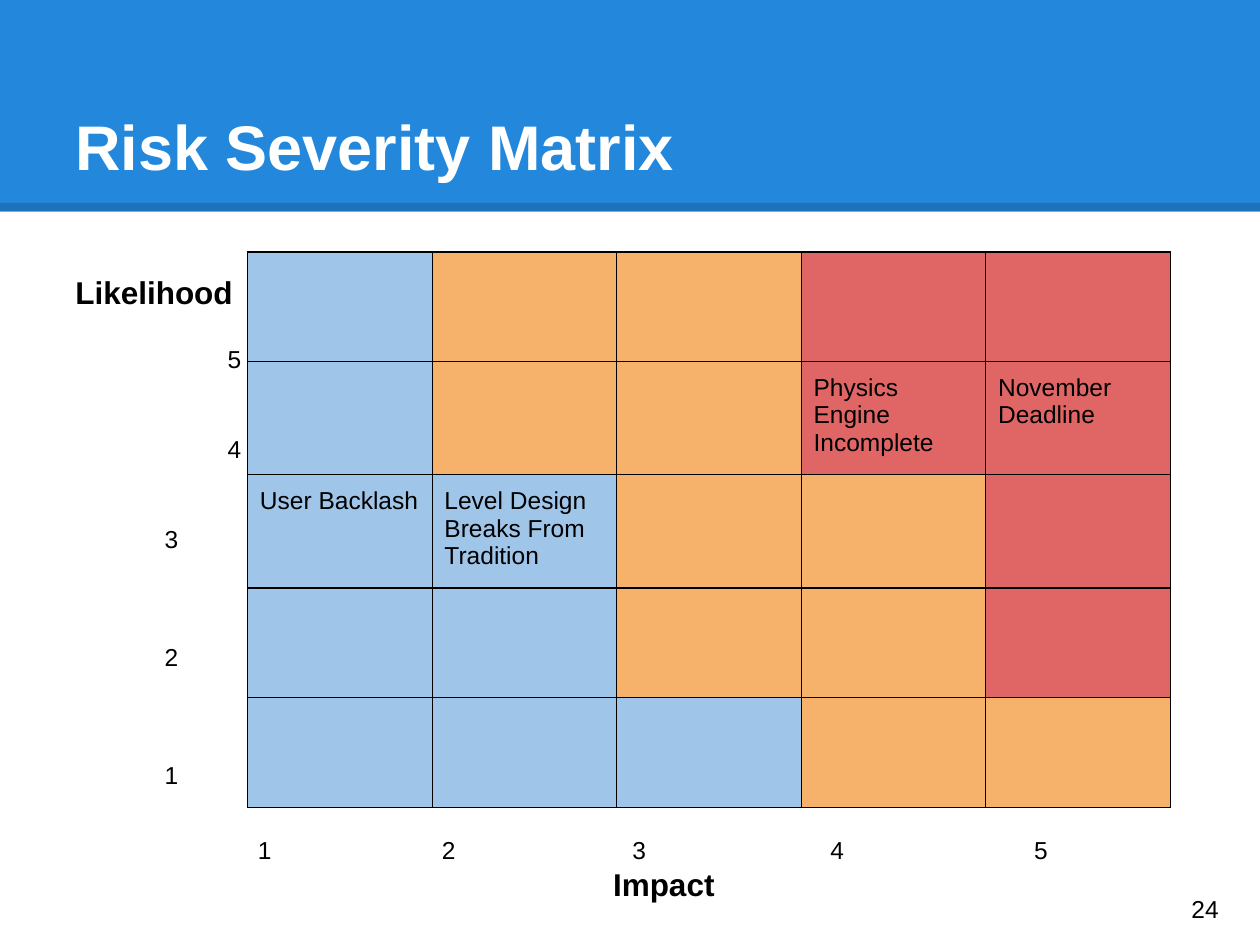
from dataclasses import dataclass

from lxml import etree
from pptx import Presentation
from pptx import util as u
from pptx.dml import color
from pptx.enum import shapes, text
from pptx.oxml import ns


@dataclass(frozen=True)
class Theme:
    """Colours, font and type sizes of the slide."""
    font: str = "Arial"
    ink: str = "000000"
    paper: str = "FFFFFF"
    banner: str = "2388DB"
    low: str = "9FC5E8"
    medium: str = "F6B26B"
    high: str = "E06666"
    title: int = 36
    axis: int = 18
    body: int = 14


@dataclass(frozen=True)
class Box:
    """A region in centimetres."""
    left: float
    top: float
    width: float
    height: float

    def emu(self):
        """Return left, top, width and height as lengths."""
        return [u.Cm(v) for v in (self.left, self.top, self.width, self.height)]


THEME = Theme()
INSET = u.Cm(0.25)
SEVERITY = ("LMMHH", "LMMHH", "LLMMH", "LLMMH", "LLLMM")
RISKS = {
    (1, 3): "Physics Engine Incomplete",
    (1, 4): "November Deadline",
    (2, 0): "User Backlash",
    (2, 1): "Level Design Breaks From Tradition",
}


def rgb(value):
    """Turn a hex string into a colour."""
    return color.RGBColor.from_string(value)


def add_element(parent, tag, **attributes):
    """Append a drawing element to its parent."""
    return etree.SubElement(parent, ns.qn(tag), attributes)


def add_run(paragraph, words, size=THEME.body, bold=False, ink=THEME.ink):
    """Append one styled run."""
    run = paragraph.add_run()
    run.text = words
    run.font.name, run.font.size, run.font.bold = THEME.font, u.Pt(size), bold
    run.font.color.rgb = rgb(ink)


def set_insets(holder):
    """Give a text frame or cell its margins."""
    holder.margin_left = holder.margin_right = INSET
    holder.margin_top = holder.margin_bottom = INSET


def add_frame(slide, box, anchor=text.MSO_ANCHOR.TOP):
    """Add a wrapping text box and return its frame."""
    frame = slide.shapes.add_textbox(*box.emu()).text_frame
    frame.word_wrap = True
    frame.vertical_anchor = anchor
    set_insets(frame)
    return frame


def set_tabs(paragraph, stops):
    """Set left tab stops, given in centimetres."""
    tabs = add_element(paragraph._p.get_or_add_pPr(), "a:tabLst")
    for stop in stops:
        add_element(tabs, "a:tab", pos=str(int(u.Cm(stop))), algn="l")


def add_banner(slide, box):
    """Draw the title banner with its darker lower edge."""
    banner = slide.shapes.add_shape(shapes.MSO_SHAPE.RECTANGLE, *box.emu())
    banner.shadow.inherit = False
    banner.fill.solid()
    banner.fill.fore_color.rgb = rgb(THEME.banner)
    banner.line.fill.background()

    edge_y = u.Cm(box.top + box.height - 0.1)
    edge = slide.shapes.add_connector(
        shapes.MSO_CONNECTOR.STRAIGHT,
        u.Cm(box.left), edge_y, u.Cm(box.left + box.width), edge_y)
    edge.line.width = u.Pt(4.5)
    edge.line.color.rgb = rgb(THEME.ink)
    add_element(edge.line._ln.find(".//" + ns.qn("a:srgbClr")), "a:alpha", val="15000")
    add_element(edge._element.spPr, "a:effectLst")

    heading = Box(box.left + 1.27, box.top + 0.76, box.width - 2.54, 3.18)
    frame = add_frame(slide, heading, text.MSO_ANCHOR.BOTTOM)
    add_run(frame.paragraphs[0], "Risk Severity Matrix", THEME.title, True, THEME.paper)


def add_borders(cell):
    """Outline a cell with thin lines."""
    properties = cell._tc.get_or_add_tcPr()
    for side in "LRTB":
        line = add_element(properties, f"a:ln{side}", w=str(int(u.Pt(0.75))))
        add_element(add_element(line, "a:solidFill"), "a:srgbClr", val=THEME.ink)


def add_matrix(slide, box):
    """Draw the severity grid with the named risks."""
    fills = {"L": THEME.low, "M": THEME.medium, "H": THEME.high}
    rows, columns = len(SEVERITY), len(SEVERITY[0])
    matrix = slide.shapes.add_table(rows, columns, *box.emu()).table
    matrix.first_row = matrix.horz_banding = False
    for column in matrix.columns:
        column.width = u.Cm(box.width / columns)
    for row in matrix.rows:
        row.height = u.Cm(box.height / rows)
    for r, levels in enumerate(SEVERITY):
        for c, level in enumerate(levels):
            cell = matrix.cell(r, c)
            set_insets(cell)
            add_borders(cell)
            cell.fill.solid()
            cell.fill.fore_color.rgb = rgb(fills[level])
            if (r, c) in RISKS:
                add_run(cell.text_frame.paragraphs[0], RISKS[r, c])


def add_likelihood_axis(slide, box):
    """Write the vertical axis name and its levels."""
    frame = add_frame(slide, box)
    add_run(frame.paragraphs[0], "Likelihood", THEME.axis, True)
    levels = (("5", 3.07, 19), ("4", 3.07, 34.5), ("3", 1.8, 34.5),
              ("2", 1.8, 50.7), ("1", 1.8, 50.7))
    for level, indent, gap in levels:
        paragraph = frame.add_paragraph()
        paragraph._p.get_or_add_pPr().set("marL", str(int(u.Cm(indent))))
        paragraph.space_before = u.Pt(gap)
        add_run(paragraph, level)


def add_impact_axis(slide, box):
    """Write the horizontal axis levels and its name."""
    frame = add_frame(slide, box)
    levels = frame.paragraphs[0]
    set_tabs(levels, (0.53, 4.24, 8.08, 12.07, 16.18))
    add_run(levels, "\t1\t2\t3\t4\t5")
    name = frame.add_paragraph()
    set_tabs(name, (7.69,))
    add_run(name, "\tImpact", THEME.axis, True)


def add_page_number(slide, box):
    """Write the page number."""
    frame = add_frame(slide, box, text.MSO_ANCHOR.MIDDLE)
    add_run(frame.paragraphs[0], "24")


def main():
    """Build and save the slide."""
    deck = Presentation()
    deck.slide_width, deck.slide_height = u.Cm(25.4), u.Cm(19.05)
    slide = deck.slides.add_slide(deck.slide_layouts[6])
    add_banner(slide, Box(0, 0, 25.4, 4.27))
    add_matrix(slide, Box(4.99, 5.08, 18.6, 11.06))
    add_likelihood_axis(slide, Box(1.27, 5.26, 4.29, 11.05))
    add_impact_axis(slide, Box(4.42, 16.59, 19.18, 1.17))
    add_page_number(slide, Box(23.77, 17.6, 1.52, 1.45))
    deck.save("out.pptx")


if __name__ == "__main__":
    main()
